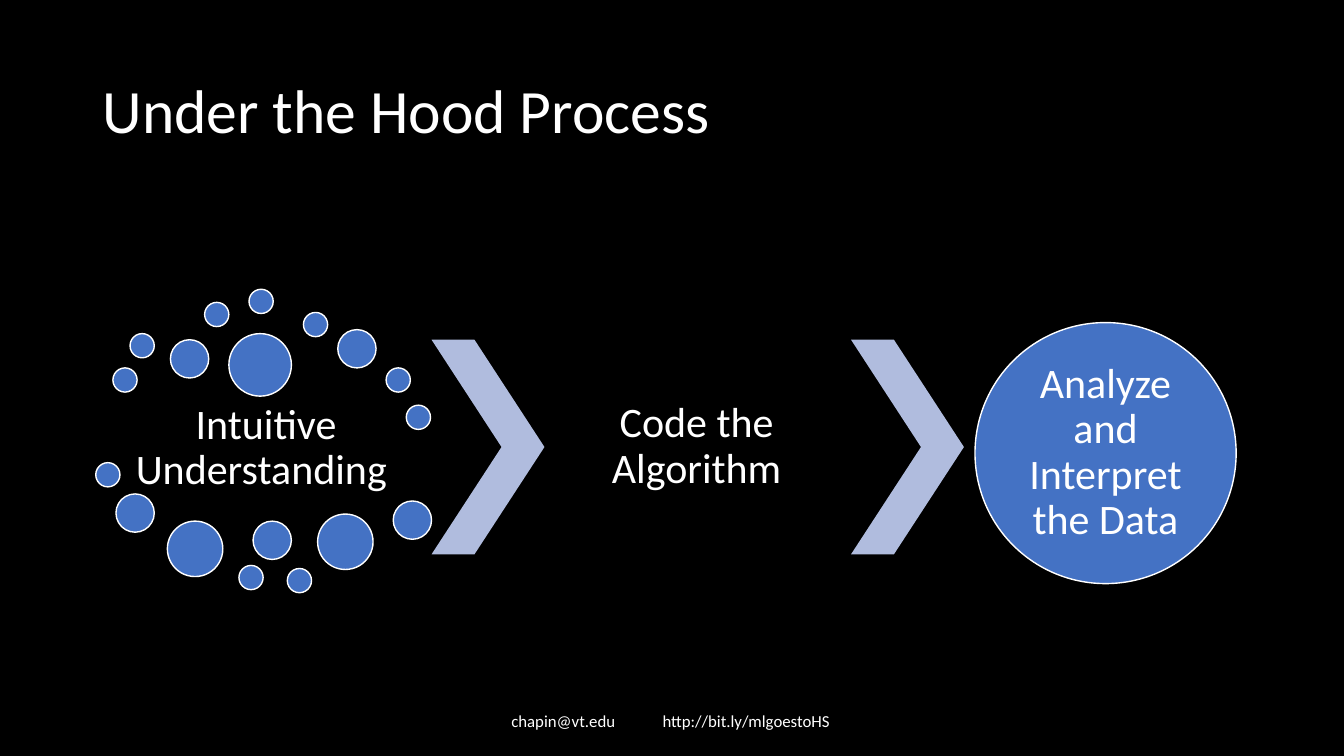
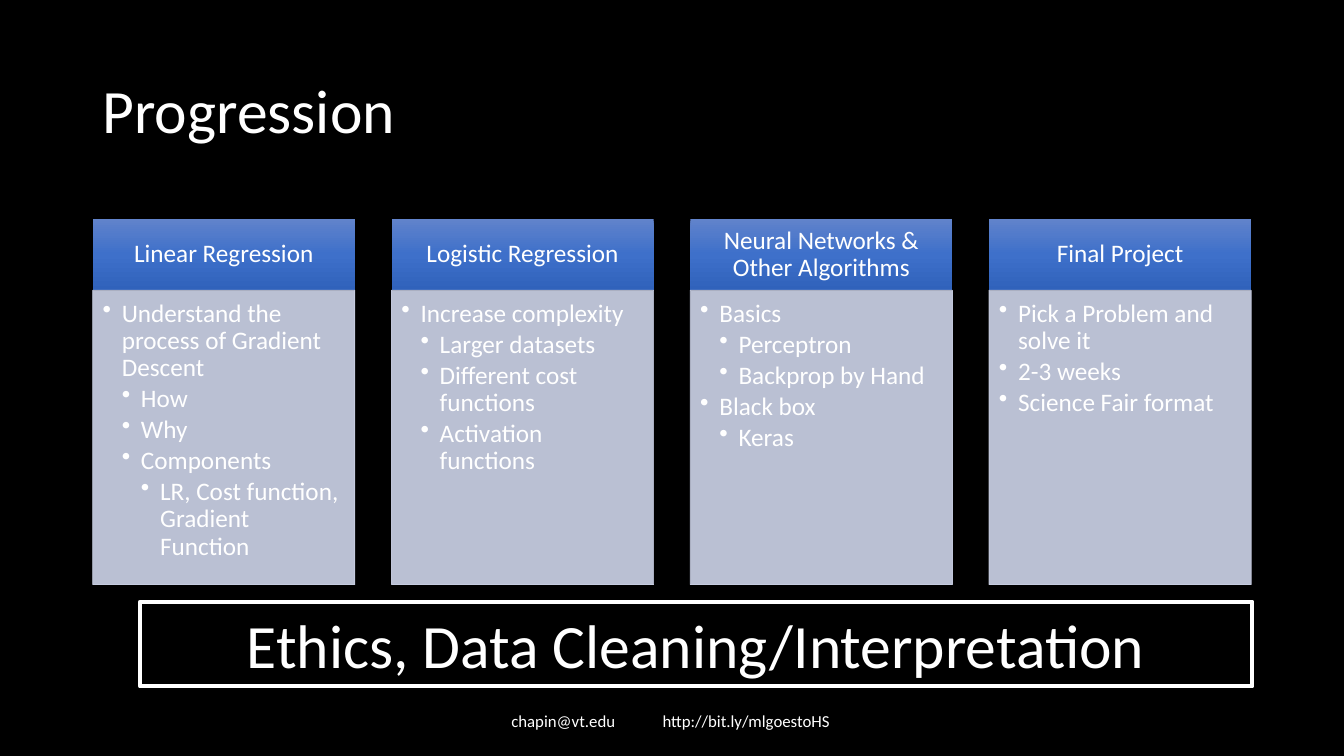
import copy
from dataclasses import dataclass

import pptx
import pptx.dml.color
import pptx.enum.shapes
import pptx.enum.text
import pptx.oxml
import pptx.oxml.ns
import pptx.presentation
import pptx.shapes.autoshape
import pptx.slide
import pptx.util
from pptx.util import Inches

COLORS = {
    "background": "000000",
    "text": "FFFFFF",
    "accent": "4472C4",
    "chevron": "B0BCDE",
    "panel": "CFD5EA",
    "header_top": "6183CB",
    "header_middle": "3E70CA",
    "header_bottom": "3062BB",
}
FONT = "Calibri"
SHAPES = pptx.enum.shapes.MSO_SHAPE
ALIGN = pptx.enum.text.PP_ALIGN
ANCHOR = pptx.enum.text.MSO_ANCHOR
DEFAULT_INSETS = (0.1, 0.05, 0.1, 0.05)
INDENT = 0.19


@dataclass(frozen=True)
class Box:
    left: float
    top: float
    width: float
    height: float

    def lengths(self) -> list[pptx.util.Length]:
        return [Inches(v) for v in (self.left, self.top, self.width, self.height)]


@dataclass(frozen=True)
class Line:
    text: str
    level: int = 0  # 0 is plain text, 1 and up are bullet levels


@dataclass(frozen=True)
class Topic:
    heading: str
    points: tuple[Line, ...]


# Scattered dots around the first step: diameter -> top left corners
DOTS = {
    0.24: ((1.12, 3.65), (1.29, 3.31), (2.03, 3.0), (2.47, 2.87), (3.01, 3.1), (3.83, 3.65),
           (4.03, 4.02), (0.95, 4.59), (2.37, 5.61), (2.85, 5.64)),
    0.38: ((1.69, 3.37), (3.35, 3.27), (1.15, 4.9), (2.51, 5.17), (3.9, 4.97)),
    0.55: ((1.66, 5.17), (3.15, 5.1)),
    0.62: ((2.27, 3.31),),
}

TOPICS = (
    Topic("Linear Regression", (
        Line("Understand the process of Gradient Descent", 1),
        Line("How", 2),
        Line("Why", 2),
        Line("Components", 2),
        Line("LR, Cost function, Gradient Function", 3),
    )),
    Topic("Logistic Regression", (
        Line("Increase complexity", 1),
        Line("Larger datasets", 2),
        Line("Different cost functions", 2),
        Line("Activation functions", 2),
    )),
    Topic("Neural Networks & Other Algorithms", (
        Line("Basics", 1),
        Line("Perceptron", 2),
        Line("Backprop by Hand", 2),
        Line("Black box", 1),
        Line("Keras", 2),
    )),
    Topic("Final Project", (
        Line("Pick a Problem and solve it", 1),
        Line("2-3 weeks", 1),
        Line("Science Fair format", 1),
    )),
)


def rgb(name: str) -> pptx.dml.color.RGBColor:
    return pptx.dml.color.RGBColor.from_string(COLORS[name])


def write(shape: pptx.shapes.autoshape.Shape, *lines: Line, size: float,
          align: ALIGN = ALIGN.LEFT, anchor: ANCHOR = ANCHOR.MIDDLE,
          insets: tuple[float, ...] = DEFAULT_INSETS, line_spacing: float = 0.9,
          space_after: float = 0) -> None:
    """Fill a shape with formatted lines, bulleted where they have a level."""
    frame = shape.text_frame
    frame.word_wrap = True
    frame.vertical_anchor = anchor
    frame.margin_left, frame.margin_top, frame.margin_right, frame.margin_bottom = map(Inches, insets)
    for index, line in enumerate(lines):
        paragraph = frame.add_paragraph() if index else frame.paragraphs[0]
        if line.level:
            paragraph.level = line.level - 1
            properties = paragraph._p.get_or_add_pPr()
            properties.set("marL", str(Inches(INDENT * line.level)))
            properties.set("indent", str(-Inches(INDENT)))
            bullet = pptx.oxml.ns.qn("a:buChar")
            properties.append(properties.makeelement(bullet, {"char": "•"}))
        paragraph.alignment = align
        paragraph.line_spacing = line_spacing
        paragraph.space_after = pptx.util.Pt(space_after)
        run = paragraph.add_run()
        run.text = line.text
        run.font.name = FONT
        run.font.size = pptx.util.Pt(size)
        run.font.color.rgb = rgb("text")


def add_textbox(slide: pptx.slide.Slide, box: Box) -> pptx.shapes.autoshape.Shape:
    return slide.shapes.add_textbox(*box.lengths())


def add_shape(slide: pptx.slide.Slide, kind: SHAPES, box: Box, fill: str | None = None,
              line: str | None = None, line_width: float = 1) -> pptx.shapes.autoshape.Shape:
    shape = slide.shapes.add_shape(kind, *box.lengths())
    shape.shadow.inherit = False
    if fill:
        shape.fill.solid()
        shape.fill.fore_color.rgb = rgb(fill)
    else:
        shape.fill.background()
    if line:
        shape.line.color.rgb = rgb(line)
        shape.line.width = pptx.util.Pt(line_width)
    else:
        shape.line.fill.background()
    return shape


def set_header_gradient(shape: pptx.shapes.autoshape.Shape) -> None:
    shape.fill.gradient()
    shape.fill.gradient_angle = 270
    stops = shape._element.spPr.find(".//" + pptx.oxml.ns.qn("a:gsLst"))
    stops.insert(1, copy.deepcopy(stops[0]))
    names = ("header_top", "header_middle", "header_bottom")
    for index, (stop, name) in enumerate(zip(shape.fill.gradient_stops, names)):
        stop.position = index / 2
        stop.color.rgb = rgb(name)


def set_opacity(shape: pptx.shapes.autoshape.Shape, percent: int) -> None:
    """Apply one opacity to the fill and the outline."""
    for color in shape._element.spPr.iter(pptx.oxml.ns.qn("a:srgbClr")):
        alpha = color.makeelement(pptx.oxml.ns.qn("a:alpha"), {"val": str(percent * 1000)})
        color.append(alpha)


def add_slide(deck: pptx.presentation.Presentation, title: str) -> pptx.slide.Slide:
    """Start a slide with the shared title and footer."""
    slide = deck.slides.add_slide(deck.slide_layouts[6])
    write(add_textbox(slide, Box(0.92, 0.4, 11.5, 1.45)), Line(title), size=44)
    write(add_textbox(slide, Box(4.42, 6.95, 4.5, 0.4)),
          Line("chapin@vt.edu\thttp://bit.ly/mlgoestoHS "),
          size=12, align=ALIGN.CENTER, line_spacing=1)
    return slide


def build_process(deck: pptx.presentation.Presentation) -> None:
    slide = add_slide(deck, "Under the Hood Process")

    # Dots around the intuition step
    for diameter, corners in DOTS.items():
        for left, top in corners:
            add_shape(slide, SHAPES.OVAL, Box(left, top, diameter, diameter), "accent", "text")

    # Chevrons between the steps
    for left in (4.28, 8.44):
        chevron = add_shape(slide, SHAPES.CHEVRON, Box(left, 3.37, 1.12, 2.13), "chevron")
        chevron.adjustments[0] = 0.62

    # The three steps
    intuition = add_textbox(slide, Box(1.12, 3.95, 3.04, 1))
    coding = add_textbox(slide, Box(5.39, 3.37, 3.04, 2.13))
    analysis = add_shape(slide, SHAPES.OVAL, Box(9.67, 3.2, 2.59, 2.59), "accent", "text")
    for step, text, inset in (
        (intuition, "Intuitive Understanding ", 0.04),
        (coding, "Code the Algorithm", 0.04),
        (analysis, "Analyze and Interpret the Data", 0),
    ):
        write(step, Line(text), size=30, align=ALIGN.CENTER, insets=(inset,) * 4)


def build_progression(deck: pptx.presentation.Presentation) -> None:
    slide = add_slide(deck, "Progression")

    # One column per topic
    first_left, last_left, width = 0.92, 9.81, 2.6
    pitch = (last_left - first_left) / (len(TOPICS) - 1)
    for index, topic in enumerate(TOPICS):
        left = first_left + index * pitch
        header = add_shape(slide, SHAPES.RECTANGLE, Box(left, 2.17, width, 0.71))
        set_header_gradient(header)
        write(header, Line(topic.heading), size=18, align=ALIGN.CENTER,
              insets=(0.14, 0.08, 0.14, 0.08))
        panel = add_shape(slide, SHAPES.RECTANGLE, Box(left, 2.88, width, 2.92),
                          "panel", "panel", 0.5)
        set_opacity(panel, 90)
        write(panel, *topic.points, size=18, anchor=ANCHOR.TOP,
              insets=(0.1, 0.1, 0.14, 0.16), space_after=2.7)

    # Themes that run through every topic
    themes = add_shape(slide, SHAPES.RECTANGLE, Box(1.39, 5.97, 11.03, 0.84),
                       line="text", line_width=3)
    write(themes, Line("Ethics, Data Cleaning/Interpretation"), size=44,
          align=ALIGN.CENTER, anchor=ANCHOR.TOP, line_spacing=1)


def main() -> None:
    deck = pptx.Presentation()
    deck.slide_width, deck.slide_height = Inches(13.33), Inches(7.5)
    backdrop = deck.slide_master.background.fill
    backdrop.solid()
    backdrop.fore_color.rgb = rgb("background")
    build_process(deck)
    build_progression(deck)
    deck.save("out.pptx")


if __name__ == "__main__":
    main()
